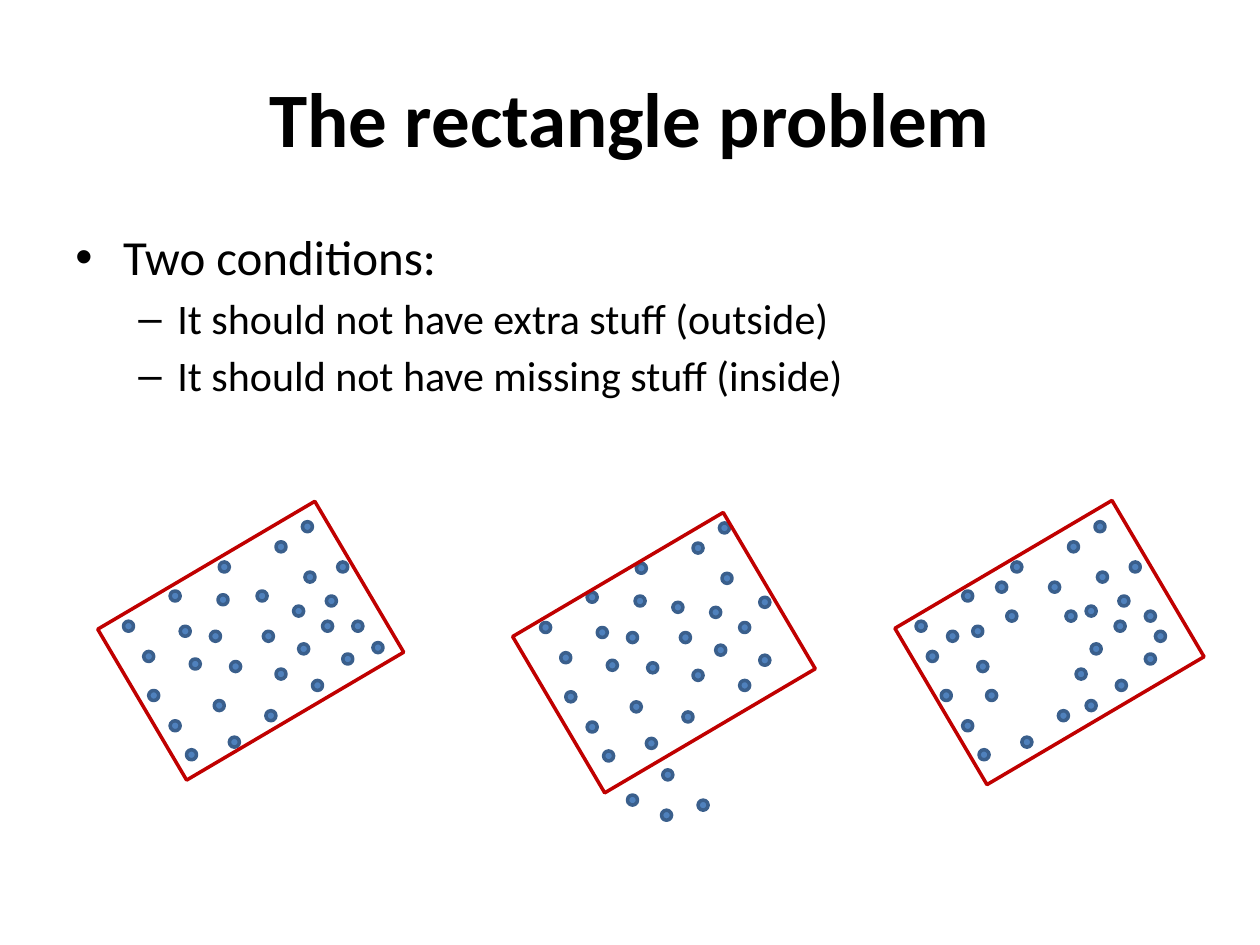
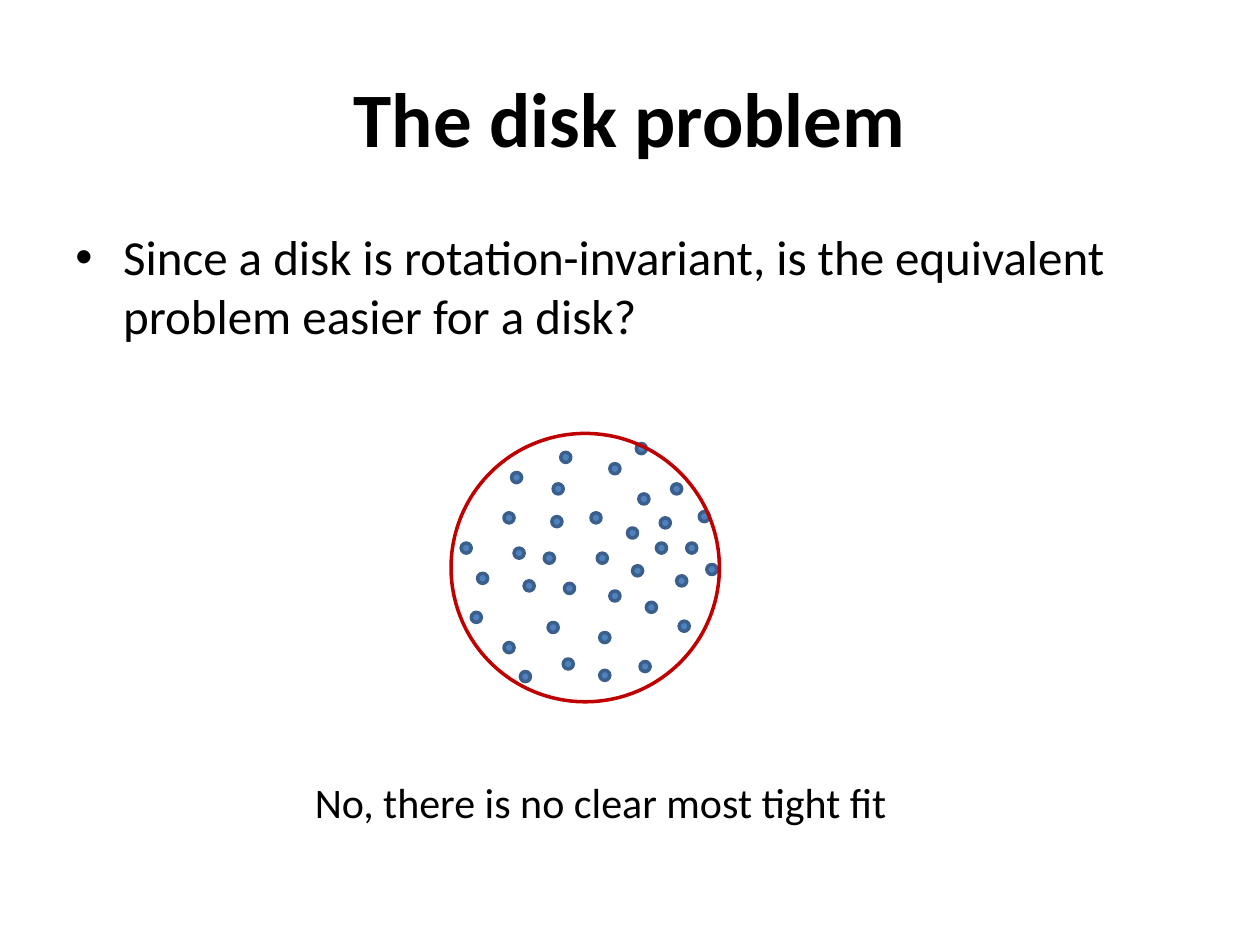
from lxml import etree
from pptx import Presentation
from pptx.dml.color import RGBColor
from pptx.enum.shapes import MSO_SHAPE
from pptx.enum.text import MSO_ANCHOR, MSO_AUTO_SIZE, PP_ALIGN
from pptx.oxml.ns import qn
from pptx.util import Emu, Pt

OVAL, RECT = MSO_SHAPE.OVAL, MSO_SHAPE.RECTANGLE
TOP, MIDDLE = MSO_ANCHOR.TOP, MSO_ANCHOR.MIDDLE
LEFT, CENTER = PP_ALIGN.LEFT, PP_ALIGN.CENTER
FIT_TEXT, NO_FIT = MSO_AUTO_SIZE.SHAPE_TO_FIT_TEXT, MSO_AUTO_SIZE.NONE

PX = 9144  # 100 px to the inch
FONT = "Calibri"
BLACK, DOT_FILL, DOT_LINE, OUTLINE = "000000", "4F81BD", "3A5F8C", "C00000"
DOT_SIZE = 8
TILT = 329.5

# Bullet level: character, left margin, hanging indent, text size
BULLETS = [("•", 38, 38, 28), ("–", 81, 31, 24)]

# Points that the clusters have in common, in the place of the first cluster
CORE = [(135, 469), (219, 430), (174, 446), (143, 497), (135, 572), (148, 595),
        (240, 414), (242, 454), (211, 564), (182, 585), (233, 481), (237, 511),
        (256, 493)]
LEFT_SIDE = [(98, 493), (118, 548)]
INSIDE = [(114, 517), (151, 523), (167, 501), (183, 525), (170, 556),
          (173, 472), (219, 531), (272, 519), (209, 501)]
RIGHT_CORNER = [(268, 446), (259, 473)]
RIGHT_SIDE = [(204, 469), (248, 540), (280, 493), (296, 510)]

# Points that belong to one cluster only
STRAY = [(203, 477), (272, 473), (256, 539),
         (194, 642), (223, 634), (195, 610), (167, 630)]
AROUND_HOLE = [(107, 517), (147, 525), (170, 485), (204, 462), (233, 556),
               (154, 548), (162, 462), (225, 531), (257, 540), (280, 519),
               (280, 485), (217, 485), (288, 501), (123, 501)]
DISK_RIM = [(101, 493), (109, 548), (211, 594), (243, 587), (274, 555),
            (141, 437), (180, 421), (290, 468)]

# Cluster: shift (x, y), points, rectangle (x, y, w, h)
RECTANGLE_CLUSTERS = [
    ((0, 0), CORE + LEFT_SIDE + INSIDE + RIGHT_CORNER + RIGHT_SIDE,
     (99, 439, 200, 139)),
    ((331, 1), CORE + LEFT_SIDE + INSIDE + STRAY, (430, 446, 194, 144)),
    ((629, 0), CORE + LEFT_SIDE + RIGHT_CORNER + AROUND_HOLE,
     (733, 438, 200, 144)),
]
DISK_SHIFT = (265, -62)
DISK_POINTS = CORE + INSIDE + RIGHT_CORNER + RIGHT_SIDE + DISK_RIM


def px(*lengths):
    return [Emu(n * PX) for n in lengths]


def color(hex_string):
    return RGBColor.from_string(hex_string)


def add_bullet(p, level):
    char, margin, hanging, _ = BULLETS[level]
    pPr = p._p.get_or_add_pPr()
    pPr.set("marL", str(margin * PX))
    pPr.set("indent", str(-hanging * PX))
    etree.SubElement(pPr, qn("a:buFont")).set("typeface", "Arial")
    etree.SubElement(pPr, qn("a:buChar")).set("char", char)


def write(p, text, size=24, bold=False, align=LEFT, before=0):
    p.alignment = align
    p.space_before = Pt(before)
    r = p.add_run()
    r.text = text
    r.font.name, r.font.size, r.font.bold = FONT, Pt(size), bold
    r.font.color.rgb = color(BLACK)


def add_box(slide, box, anchor=TOP, wrap=True, fit=NO_FIT):
    tf = slide.shapes.add_textbox(*px(*box)).text_frame
    tf.auto_size, tf.word_wrap, tf.vertical_anchor = fit, wrap, anchor
    return tf


def add_bullets(slide, height, items):
    tf = add_box(slide, (50, 175, 900, height))
    for i, (level, text) in enumerate(items):
        p = tf.add_paragraph() if i else tf.paragraphs[0]
        add_bullet(p, level)
        write(p, text, size=BULLETS[level][3], before=4 if i else 0)


def add_outlined(slide, kind, box, line, fill=None, rotation=0):
    sp = slide.shapes.add_shape(kind, *px(*box))
    sp.shadow.inherit = False
    sp.rotation = rotation
    sp.line.color.rgb, sp.line.width = color(line), Pt(2)
    if fill:
        sp.fill.solid()
        sp.fill.fore_color.rgb = color(fill)
    else:
        sp.fill.background()


def add_dots(slide, shift, points):
    dx, dy = shift
    for x, y in points:
        add_outlined(slide, OVAL, (x + dx, y + dy, DOT_SIZE, DOT_SIZE),
                     DOT_LINE, fill=DOT_FILL)


def new_slide(prs, title):
    slide = prs.slides.add_slide(prs.slide_layouts[6])
    tf = add_box(slide, (50, 30, 900, 125), anchor=MIDDLE)
    write(tf.paragraphs[0], title, size=44, bold=True, align=CENTER)
    return slide


def rectangle_slide(prs):
    slide = new_slide(prs, "The rectangle problem")
    add_bullets(slide, 208, [
        (0, "Two conditions:"),
        (1, "It should not have extra stuff (outside)"),
        (1, "It should not have missing stuff (inside)"),
    ])
    for shift, points, box in RECTANGLE_CLUSTERS:
        add_dots(slide, shift, points)
        add_outlined(slide, RECT, box, OUTLINE, rotation=TILT)


def disk_slide(prs):
    slide = new_slide(prs, "The disk problem")
    add_bullets(slide, 161, [
        (0, "Since a disk is rotation-invariant, is the equivalent "
            "problem easier for a disk?"),
    ])
    add_dots(slide, DISK_SHIFT, DISK_POINTS)
    add_outlined(slide, OVAL, (358, 344, 213, 213), OUTLINE)
    caption = add_box(slide, (240, 611, 478, 50), wrap=False, fit=FIT_TEXT)
    write(caption.paragraphs[0], "No, there is no clear most tight fit")


def main():
    prs = Presentation()
    prs.slide_width, prs.slide_height = px(1000, 750)
    rectangle_slide(prs)
    disk_slide(prs)
    prs.save("out.pptx")


if __name__ == "__main__":
    main()
